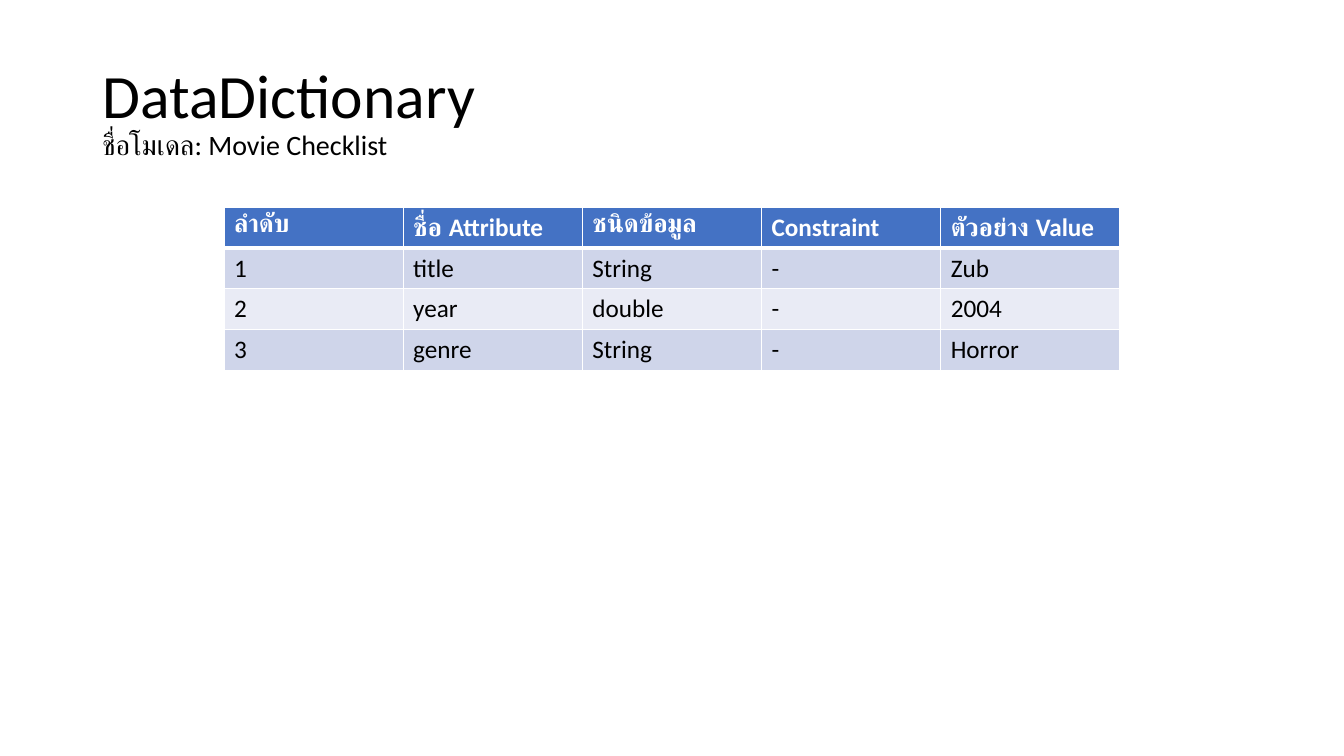
from dataclasses import dataclass

from pptx import Presentation
from pptx.dml.color import RGBColor as Color
from pptx.enum.text import MSO_ANCHOR as Anchor, PP_ALIGN as Align
from pptx.oxml import parse_xml as to_xml
from pptx.oxml.ns import nsdecls as names
from pptx.util import Pt


@dataclass(frozen=True)
class Theme:
    font: str = "Calibri"
    dark: str = "000000"
    light: str = "FFFFFF"
    head: str = "4472C4"
    bands: tuple = ("CFD5EA", "E9EBF5")
    big: int = 44
    small: int = 20
    cell: int = 18
    rule: int = 3


class Deck:
    def __init__(self, theme):
        self.theme = theme
        self.file = Presentation()
        self.file.slide_width, self.file.slide_height = Pt(960), Pt(540)
        self.slide = self.file.slides.add_slide(self.file.slide_layouts[5])

    def style(self, run, size, color, bold=False):
        font = run.font
        font.name, font.size, font.bold = self.theme.font, Pt(size), bold
        font.color.rgb = Color.from_string(color)

    def title(self, lines, left, top, width, height):
        shape = self.slide.shapes.title
        shape.left, shape.top = Pt(left), Pt(top)
        shape.width, shape.height = Pt(width), Pt(height)
        frame = shape.text_frame
        frame.word_wrap = True
        frame.vertical_anchor = Anchor.MIDDLE
        para = frame.paragraphs[0]
        para.text = "\v".join(lines)
        para.alignment = Align.LEFT
        para.line_spacing = 0.9
        for run, size in zip(para.runs, (self.theme.big, self.theme.small)):
            self.style(run, size, self.theme.dark)

    def rule(self, cell):
        line = to_xml(
            f'<a:lnB {names("a")} w="{Pt(self.theme.rule)}"><a:solidFill>'
            f'<a:srgbClr val="{self.theme.light}"/></a:solidFill></a:lnB>'
        )
        cell._tc.get_or_add_tcPr().insert(0, line)

    def table(self, rows, left, top, width, height):
        theme = self.theme
        table = self.slide.shapes.add_table(
            len(rows), len(rows[0]), Pt(left), Pt(top), Pt(width), Pt(height)
        ).table
        for i, row in enumerate(rows):
            head = i == 0
            fill = theme.head if head else theme.bands[(i - 1) % 2]
            color = theme.light if head else theme.dark
            for j, text in enumerate(row):
                cell = table.cell(i, j)
                cell.fill.solid()
                cell.fill.fore_color.rgb = Color.from_string(fill)
                if head:
                    self.rule(cell)
                cell.text_frame.text = text
                for run in cell.text_frame.paragraphs[0].runs:
                    self.style(run, theme.cell, color, head)


def main():
    deck = Deck(Theme())
    deck.title(
        ("DataDictionary", "ชื่อโมเดล: Movie Checklist"), 66, 28.75, 828, 104.4
    )
    deck.table(
        (
            ("ลำดับ", "ชื่อ Attribute", "ชนิดข้อมูล", "Constraint", "ตัวอย่าง Value"),
            ("1", "title", "String", "-", "Zub"),
            ("2", "year", "double", "-", "2004"),
            ("3", "genre", "String", "-", "Horror"),
        ),
        160, 147.9, 640, 116.8,
    )
    deck.file.save("out.pptx")


if __name__ == "__main__":
    main()
